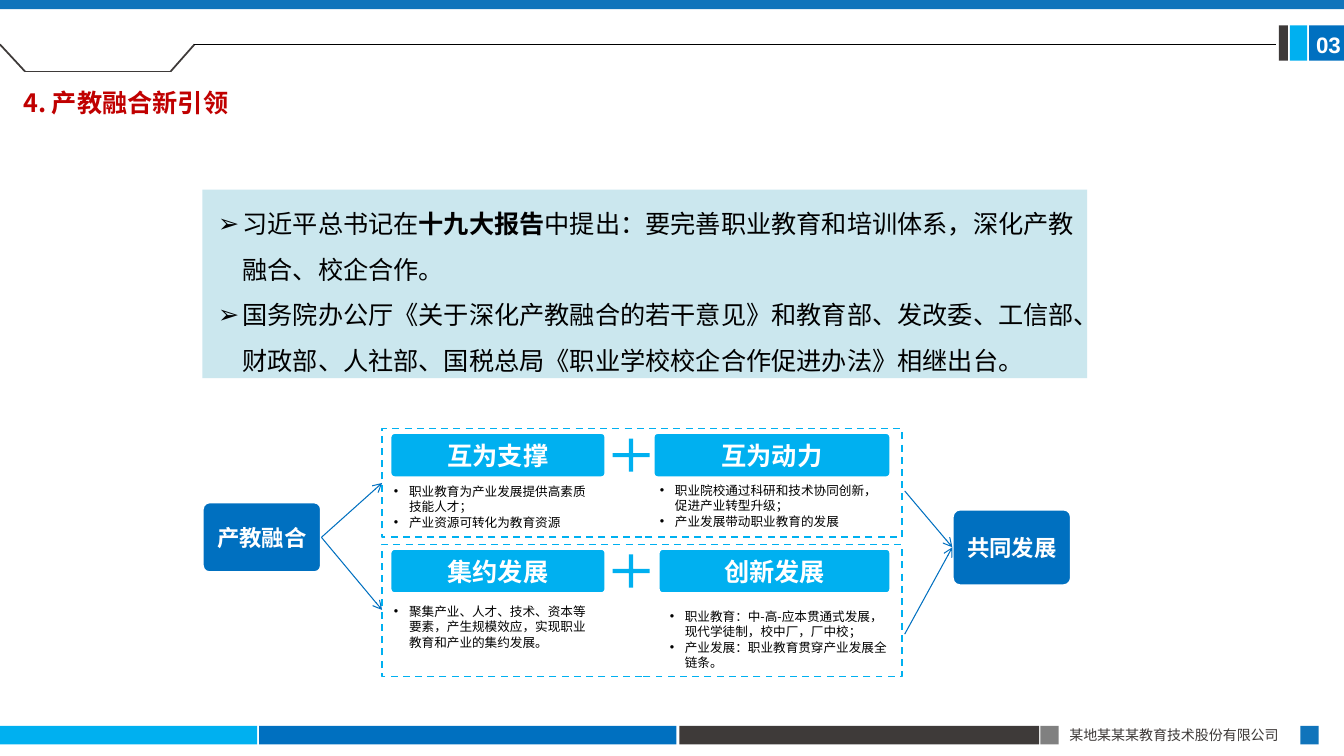
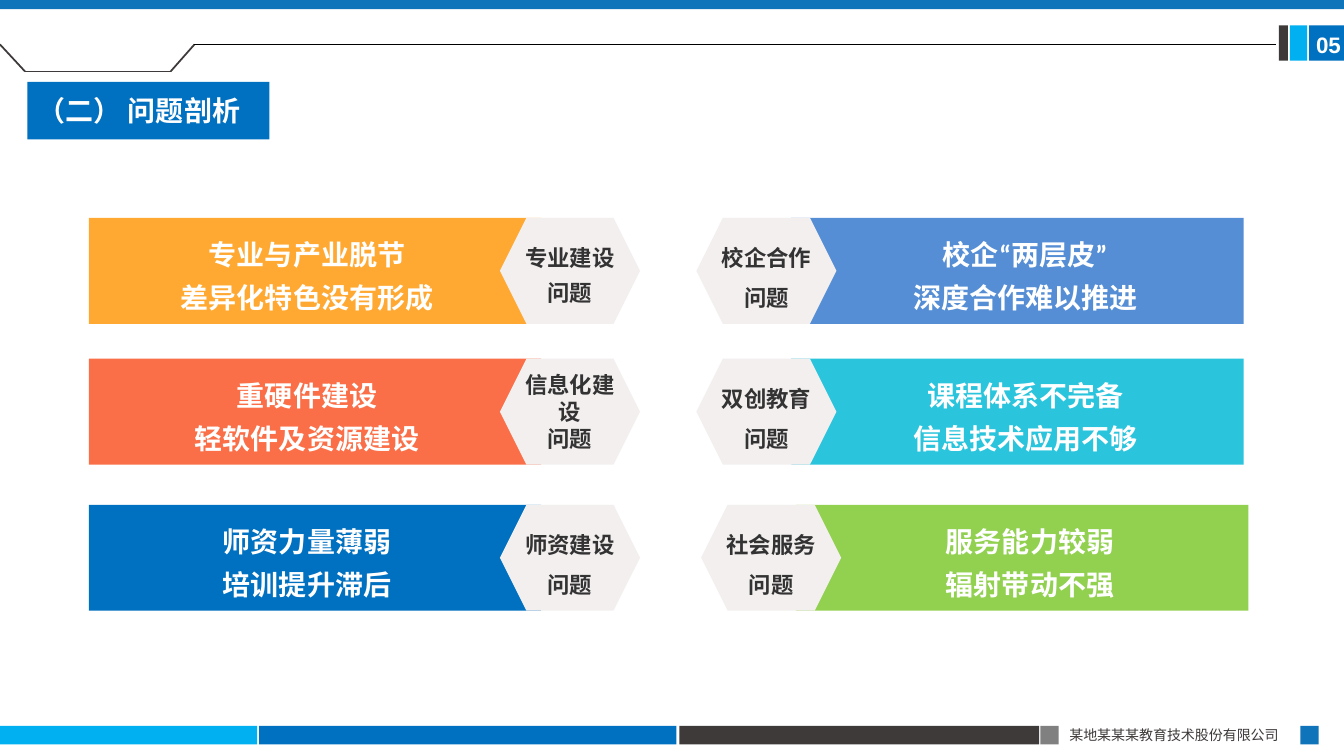
import dataclasses

import lxml.etree
import pptx
import pptx.dml.color
import pptx.enum.dml
import pptx.enum.shapes
import pptx.enum.text
import pptx.oxml.ns
import pptx.util

Cm = pptx.util.Cm
Pt = pptx.util.Pt
SHAPE = pptx.enum.shapes.MSO_SHAPE
ALIGN = pptx.enum.text.PP_ALIGN
ANCHOR = pptx.enum.text.MSO_ANCHOR
qn = pptx.oxml.ns.qn


@dataclasses.dataclass(frozen=True)
class Theme:
    """Colours, fonts and type sizes of the deck."""

    blue: str = "0070C0"
    band: str = "1074BB"
    cyan: str = "00B0F0"
    dark: str = "3E3A39"
    grey: str = "808080"
    white: str = "FFFFFF"
    black: str = "000000"
    red: str = "C00000"
    panel: str = "93CDDD"
    hexagon: str = "F3EFEF"
    label: str = "333333"
    orange: str = "FFA932"
    coral: str = "FA6F48"
    turquoise: str = "2AC4DC"
    green: str = "92D050"
    steel: str = "558ED5"
    cjk: str = "Noto Sans CJK SC"
    body: str = "Calibri"
    digits: str = "Arial"
    large: int = 20
    medium: int = 18
    small: int = 16
    footer: int = 10
    note: int = 9


T = Theme()


def rgb(code):
    """Turn a hex code into a colour."""
    return pptx.dml.color.RGBColor.from_string(code)


def paint(sp, fill, line=None, width=1.0, dash=False):
    """Set the fill and outline of a shape and drop its shadow."""
    sp.shadow.inherit = False
    sp.fill.solid()
    sp.fill.fore_color.rgb = rgb(fill)
    if line is None:
        sp.line.fill.background()
        return sp
    sp.line.color.rgb = rgb(line)
    sp.line.width = Pt(width)
    if dash:
        sp.line.dash_style = pptx.enum.dml.MSO_LINE.DASH
    return sp


def block(s, kind, x, y, w, h, fill, adj=None, **outline):
    """Add a painted preset shape."""
    sp = s.shapes.add_shape(kind, Cm(x), Cm(y), Cm(w), Cm(h))
    if adj is not None:
        sp.adjustments[0] = adj
    return paint(sp, fill, **outline)


def link(s, start, end, color, width, arrow=False):
    """Add a straight line, with an arrowhead at its end if asked."""
    c = s.shapes.add_connector(
        pptx.enum.shapes.MSO_CONNECTOR.STRAIGHT, *(Cm(v) for v in (*start, *end)))
    c.line.color.rgb = rgb(color)
    c.line.width = Pt(width)
    spPr = c.element.spPr
    if arrow:
        lxml.etree.SubElement(spPr.find(qn("a:ln")), qn("a:tailEnd"), type="arrow")
    lxml.etree.SubElement(spPr, qn("a:effectLst"))


def bullet(p, char, indent):
    """Give a paragraph a hanging bullet."""
    pPr = p._p.get_or_add_pPr()
    pPr.set("marL", str(Cm(indent)))
    pPr.set("indent", str(-Cm(indent)))
    lxml.etree.SubElement(pPr, qn("a:buFont"), typeface=T.digits)
    lxml.etree.SubElement(pPr, qn("a:buChar"), char=char)


def write(sp, paras, size, color, font=T.cjk, bold=False, align=ALIGN.LEFT,
          anchor=ANCHOR.MIDDLE, spacing=None, mark=None, insets=None):
    """Write paragraphs, each a list of (text, bold) runs or a plain string."""
    tf = sp.text_frame
    tf.word_wrap = True
    tf.auto_size = pptx.enum.text.MSO_AUTO_SIZE.NONE
    tf.vertical_anchor = anchor
    if insets:
        tf.margin_left, tf.margin_top, tf.margin_right, tf.margin_bottom = map(Cm, insets)
    for i, para in enumerate(paras):
        p = tf.paragraphs[0] if i == 0 else tf.add_paragraph()
        if mark:
            bullet(p, *mark)
        p.alignment = align
        if spacing:
            p.line_spacing = spacing
        for text, strong in ([(para, bold)] if isinstance(para, str) else para):
            r = p.add_run()
            r.text = text
            r.font.name = font
            r.font.size = Pt(size)
            r.font.bold = strong
            r.font.color.rgb = rgb(color)
            lxml.etree.SubElement(r.font._element, qn("a:ea"), typeface=font)
    return sp


def textbox(s, x, y, w, h, paras, size, color, **style):
    """Add a wrapped text box."""
    sp = s.shapes.add_textbox(Cm(x), Cm(y), Cm(w), Cm(h))
    return write(sp, paras, size, color, **style)


def header(s, width):
    """Draw the top band, the tab outline and the corner blocks."""
    block(s, SHAPE.RECTANGLE, 0, 0, width, 0.23, T.band)
    for dx, w, fill in ((1.64, 0.23, T.dark), (1.36, 0.43, T.cyan), (0.88, 0.88, T.blue)):
        block(s, SHAPE.RECTANGLE, width - dx, 0.64, w, 0.89, fill)
    tab = ((0, 1.12), (0.63, 1.8), (4.3, 1.8), (4.9, 1.12))
    for start, end in zip(tab, tab[1:]):
        link(s, start, end, T.dark, 1.25)
    link(s, tab[-1], (width - 1.72, 1.12), T.black, 0.5)


def footer(s, y, h):
    """Draw the footer bars and the company name."""
    bars = ((0, 6.48, T.cyan), (6.53, 10.52, T.blue), (17.12, 9.07, T.dark),
            (26.22, 0.46, T.grey), (32.77, 0.46, T.band))
    for x, w, fill in bars:
        block(s, SHAPE.RECTANGLE, x, y, w, h, fill)
    textbox(s, 26.7, y - 0.11, 6.1, 0.69, ["某地某某某教育技术股份有限公司"],
            T.footer, T.dark)


def build_layout(prs):
    """Put the shared header and footer on the title-only layout."""
    layout = prs.slide_layouts[5]
    s = prs.slides.add_slide(layout)
    header(s, 33.87)
    footer(s, 18.29, 0.47)
    for sp in list(s.shapes):
        if not sp.is_placeholder:
            layout.shapes.element.append(sp.element)
    return layout, s


def title(s, x, y, w, h, text, size, color, **style):
    """Place and format the title placeholder."""
    sp = s.shapes.title
    sp.left, sp.top, sp.width, sp.height = map(Cm, (x, y, w, h))
    return write(sp, [text], size, color, bold=True, **style)


def section_number(s, text):
    """Write the section number in the corner block."""
    textbox(s, 33.09, 0.69, 0.78, 0.89, [text], T.small, T.white, font=T.digits,
            bold=True, align=ALIGN.CENTER, insets=(0, 0, 0, 0))


def policy_panel(s, x, y, w, h):
    """Draw the translucent panel with the policy statements."""
    sp = block(s, SHAPE.RECTANGLE, x, y, w, h, T.panel)
    color = sp.element.spPr.find(qn("a:solidFill"))[0]
    lxml.etree.SubElement(color, qn("a:alpha"), val="48000")
    paras = [
        [("习近平总书记在", False), ("十九大报告", True),
         ("中提出：要完善职业教育和培训体系，深化产教融合、校企合作。", False)],
        "国务院办公厅《关于深化产教融合的若干意见》和教育部、发改委、工信部、"
        "财政部、人社部、国税总局《职业学校校企合作促进办法》相继出台。",
    ]
    write(sp, paras, T.medium, T.black, font=T.body, anchor=ANCHOR.TOP, spacing=1.5,
          mark=("➢", 0.61), insets=(0.4, 0.1, 0.25, 0))


def plate(s, x, y, w, h, text, fill, size):
    """Draw a rounded plate with a centred label."""
    sp = block(s, SHAPE.ROUNDED_RECTANGLE, x, y, w, h, fill, adj=0.1,
               line=T.white, width=2)
    write(sp, [text], size, T.white, bold=True, align=ALIGN.CENTER, insets=(0, 0, 0, 0))


def pair(s, x, y, w, h, right, left_part, right_part):
    """Draw a dashed frame holding two headed lists joined by a plus."""
    block(s, SHAPE.RECTANGLE, x, y, w, h, T.white, line=T.cyan, width=1.25, dash=True)
    heads = ((0.2, 5.44, left_part), (right, w - right - 0.28, right_part))
    for dx, head_w, (head, list_x, list_y, list_w, items) in heads:
        plate(s, x + dx, y + 0.1, head_w, 1.14, head, T.cyan, T.medium)
        textbox(s, x + list_x, y + list_y, list_w, 1.42, items, T.note, T.black,
                anchor=ANCHOR.TOP, spacing=Pt(10.9), mark=("•", 0.38))
    block(s, SHAPE.MATH_PLUS, x + 5.64, y + 0.1, 1.27, 1.14, T.cyan, adj=0.092)


def integration_diagram(s, x, y):
    """Draw the flow from integration through two pairs to shared growth."""
    plate(s, x, y + 1.85, 3, 1.78, "产教融合", T.blue, T.small)
    plate(s, x + 18.9, y + 2.03, 3, 1.93, "共同发展", T.blue, T.small)
    pair(s, x + 4.53, y, 13.1, 2.74, 6.83,
         ("互为支撑", 0.05, 1.27, 5.59,
          ["职业教育为产业发展提供高素质技能人才；", "产业资源可转化为教育资源"]),
         ("互为动力", 6.75, 1.24, 6.1,
          ["职业院校通过科研和技术协同创新，促进产业转型升级；",
           "产业发展带动职业教育的发展"]))
    pair(s, x + 4.53, y + 2.92, 13.1, 3.33, 6.96,
         ("集约发展", 0.05, 1.37, 5.59,
          ["聚集产业、人才、技术、资本等要素，产生规模效应，实现职业教育和产业的集约发展。"]),
         ("创新发展", 7, 1.5, 5.97,
          ["职业教育：中-高-应本贯通式发展，现代学徒制，校中厂，厂中校；",
           "产业发展：职业教育贯穿产业发展全链条。"]))
    arrows = (((3, 2.74), (4.53, 1.37)), ((3, 2.74), (4.53, 4.57)),
              ((17.7, 1.57), (18.9, 2.99)), ((17.7, 5.18), (18.9, 2.99)))
    for start, end in arrows:
        link(s, *((x + dx, y + dy) for dx, dy in (start, end)), T.blue, 0.75, arrow=True)


def issue(s, x, y, w, h, mirror, fill, lines, label, spacing):
    """Draw a notched bar with its hexagon label, mirrored if asked."""
    bar, notch, hex_w = 11.4, 1.03, 3.53
    outline = ((0, 0), (bar, 0), (bar - notch, h / 2), (bar, h), (0, h))
    points = [(Cm(x + (w - dx if mirror else dx)), Cm(y + dy)) for dx, dy in outline]
    builder = s.shapes.build_freeform(*points[0])
    builder.add_line_segments(points[1:], close=True)
    sides = (0.8, 0.4) if mirror else (0.4, 0.8)
    write(paint(builder.convert_to_shape(), fill), lines, T.large, T.white, font=T.body,
          bold=True, align=ALIGN.CENTER, spacing=1.3,
          insets=(sides[0], 0.13, sides[1], 0.13))
    sp = block(s, SHAPE.HEXAGON, x if mirror else x + w - hex_w, y, hex_w, h, T.hexagon)
    write(sp, label, T.small, T.label, font=T.body, bold=True, align=ALIGN.CENTER,
          spacing=spacing, insets=(0, 0, 0, 0))


def issue_grid(s, left, right, tops):
    """Place the issues in two facing columns."""
    rows = (
        ((0, T.orange, ["专业与产业脱节", "差异化特色没有形成"], ["专业建设问题"], 1.3),
         (0, T.steel, ["校企“两层皮”", "深度合作难以推进"], ["校企合作问题"], 1.5)),
        ((0, T.coral, ["重硬件建设", "轻软件及资源建设"], ["信息化建设", "问题"], 1.0),
         (0, T.turquoise, ["课程体系不完备", "信息技术应用不够"], ["双创教育问题"], 1.5)),
        ((0, T.blue, ["师资力量薄弱", "培训提升滞后"], ["师资建设问题"], 1.5),
         (0.12, T.green, ["服务能力较弱", "辐射带动不强"], ["社会服务问题"], 1.5)),
    )
    for y, row in zip(tops, rows):
        for mirror, (x, w), (shift, *content) in zip((False, True), (left, right), row):
            issue(s, x + shift, y, w, 2.67, mirror, *content)


def integration_slide(s):
    """Fill the slide on integrating industry and education."""
    title(s, 0.33, 2.08, 5.77, 1.9, "4. 产教融合新引领", T.medium, T.red,
          anchor=ANCHOR.TOP, spacing=Pt(21.5))
    section_number(s, "03")
    policy_panel(s, 5.1, 4.78, 22.3, 4.75)
    integration_diagram(s, 5.1, 10.8)


def problem_slide(s):
    """Fill the slide on the problem analysis."""
    paint(title(s, 0.69, 2.06, 6.1, 1.45, "（二） 问题剖析", T.large, T.white), T.blue)
    section_number(s, "05")
    issue_grid(s, (2.24, 13.89), (17.55, 13.79), (5.49, 9.04, 12.72))


def main():
    """Build and save the deck."""
    prs = pptx.Presentation()
    prs.slide_width, prs.slide_height = Cm(33.87), Cm(19.05)
    layout, s = build_layout(prs)
    integration_slide(s)
    problem_slide(prs.slides.add_slide(layout))
    prs.save("out.pptx")


if __name__ == "__main__":
    main()
